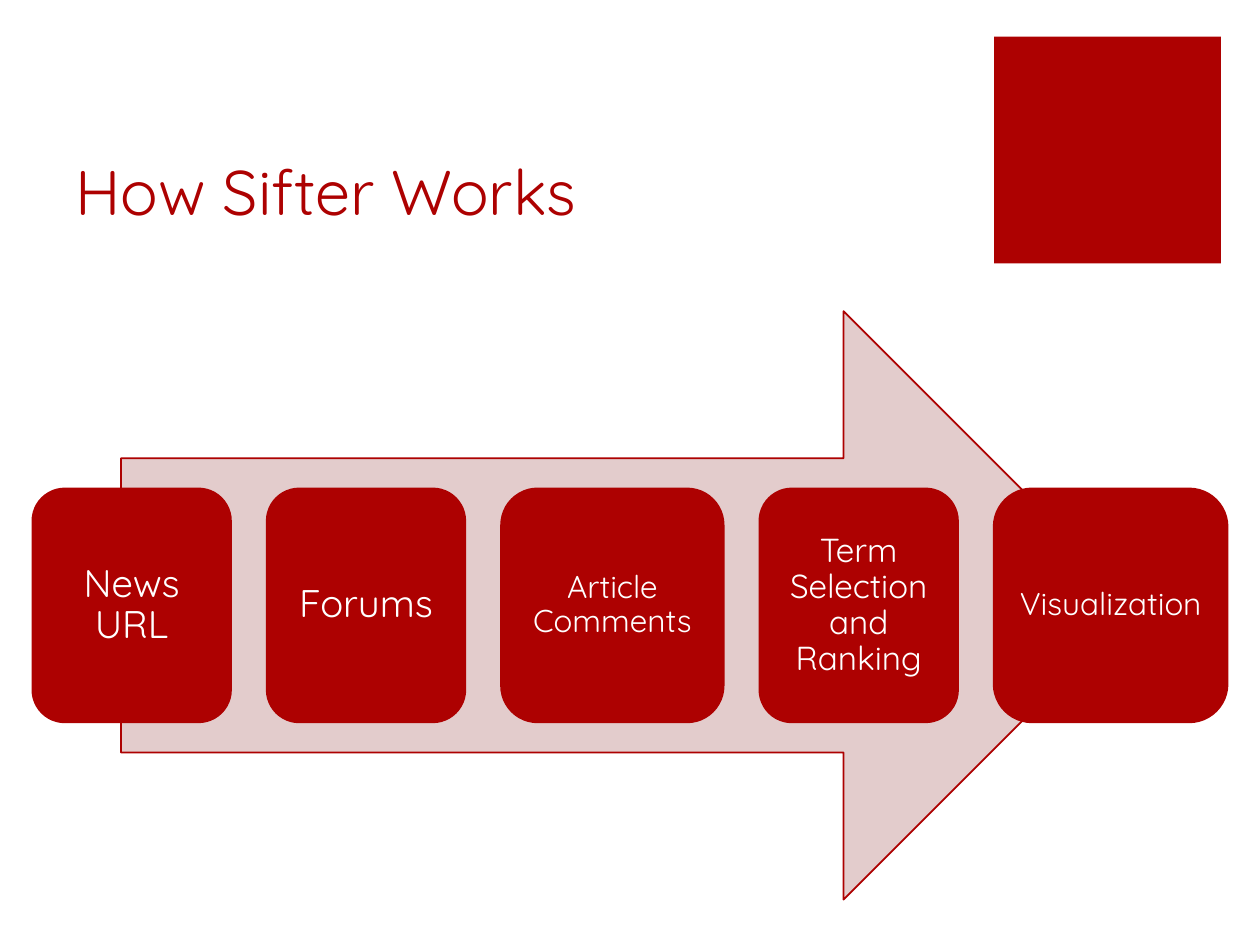
from pptx import Presentation
from pptx.dml.color import RGBColor
from pptx.enum import shapes, text
from pptx.util import Inches, Pt

THEME = {
    "font": "Quicksand",
    "red": RGBColor.from_string("AD0101"),
    "pale": RGBColor.from_string("E3CCCC"),
    "white": RGBColor.from_string("FFFFFF"),
    "title_size": 36,
}

presentation = Presentation()
presentation.slide_width, presentation.slide_height = Inches(10), Inches(7.5)
slide = presentation.slides.add_slide(presentation.slide_layouts[6])


def add_block(kind, left, top, width, height, fill):
    shape = slide.shapes.add_shape(
        kind, Inches(left), Inches(top), Inches(width), Inches(height))
    shape.shadow.inherit = False
    shape.fill.solid()
    shape.fill.fore_color.rgb = fill
    shape.line.fill.background()
    return shape


def write(shape, wording, size, color, anchor, inset):
    frame = shape.text_frame
    frame.word_wrap = True
    frame.vertical_anchor = anchor
    frame.margin_left = frame.margin_right = Inches(inset)
    frame.margin_top = frame.margin_bottom = Inches(min(inset, 0.09))
    paragraph = frame.paragraphs[0]
    paragraph.text = wording
    paragraph.font.name = THEME["font"]
    paragraph.font.size = Pt(size)
    paragraph.font.color.rgb = color
    return paragraph


# Corner square
add_block(shapes.MSO_SHAPE.RECTANGLE, 7.89, 0.29, 1.8, 1.8, THEME["red"])

# Title
title = slide.shapes.add_textbox(Inches(0.5), Inches(1.16), Inches(7.12), Inches(0.74))
write(title, "How Sifter Works", THEME["title_size"], THEME["red"],
      text.MSO_ANCHOR.BOTTOM, 0.1)

# Process arrow
arrow = add_block(shapes.MSO_SHAPE.RIGHT_ARROW, 0.96, 2.47, 8.07, 4.67, THEME["pale"])
arrow.line.color.rgb = THEME["red"]
arrow.line.width = Pt(1)

# Steps: wording, width, type size, inset
steps = [
    ("News URL", 1.59, 22, 0.09),
    ("Forums", 1.59, 22, 0.09),
    ("Article Comments", 1.78, 18, 0.07),
    ("Term Selection and Ranking", 1.59, 19, 0.08),
    ("Visualization", 1.87, 18, 0.07),
]
step_left, step_gap = 0.25, 0.27
for wording, width, size, inset in steps:
    step = add_block(shapes.MSO_SHAPE.ROUNDED_RECTANGLE,
                     step_left, 3.87, width, 1.87, THEME["red"])
    paragraph = write(step, wording, size, THEME["white"],
                      text.MSO_ANCHOR.MIDDLE, inset)
    paragraph.alignment = text.PP_ALIGN.CENTER
    paragraph.line_spacing = 0.9
    step_left += width + step_gap

presentation.save("out.pptx")
